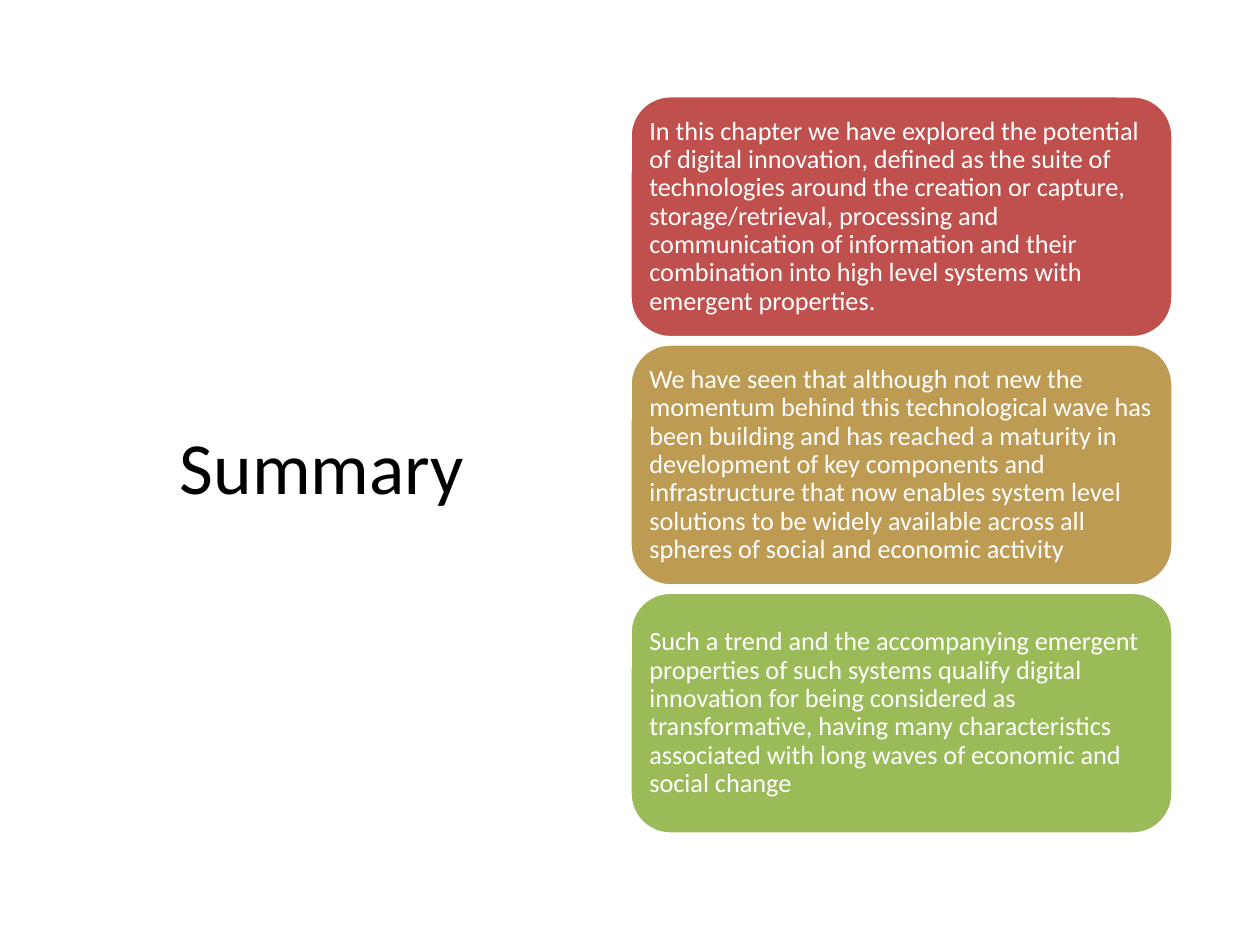
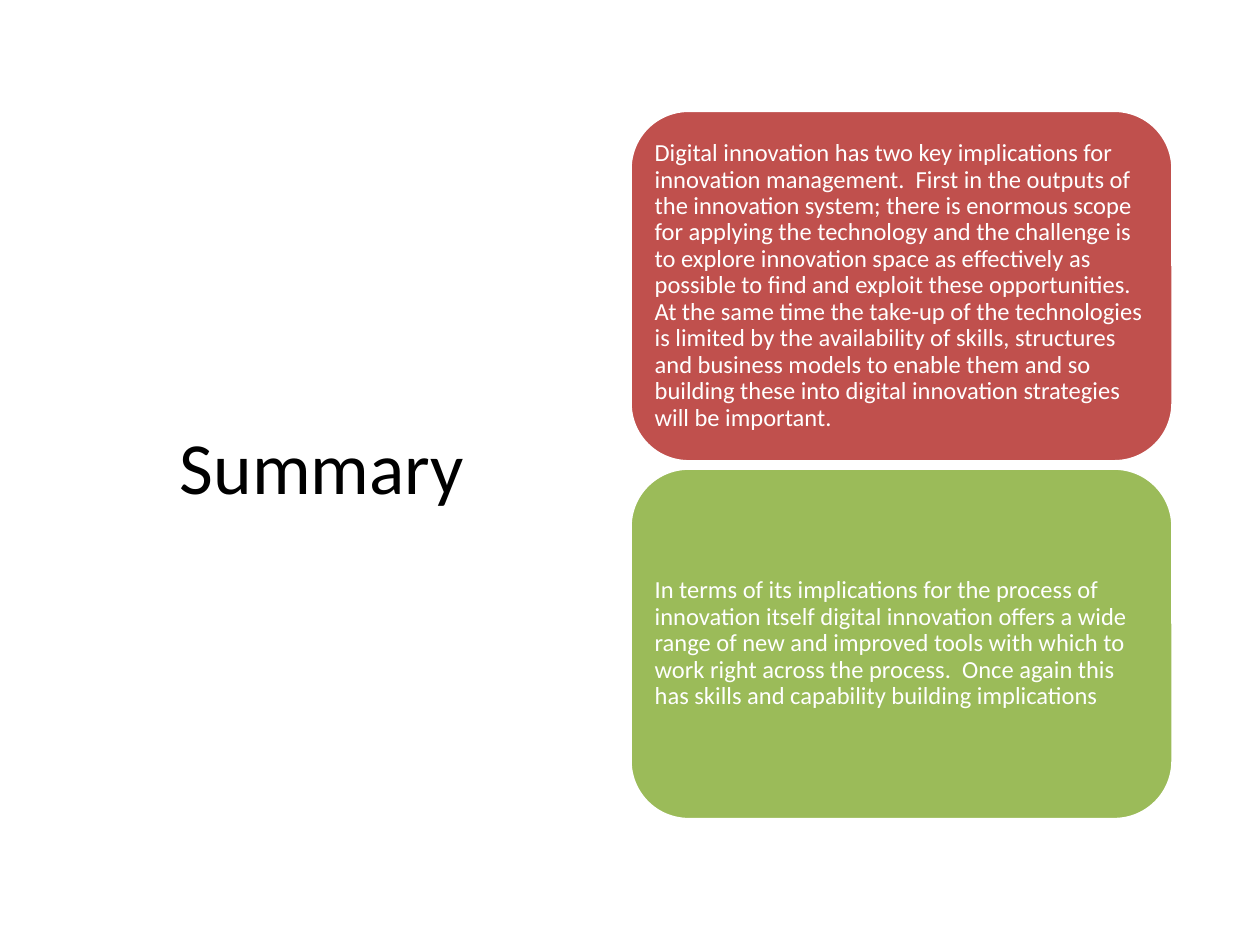
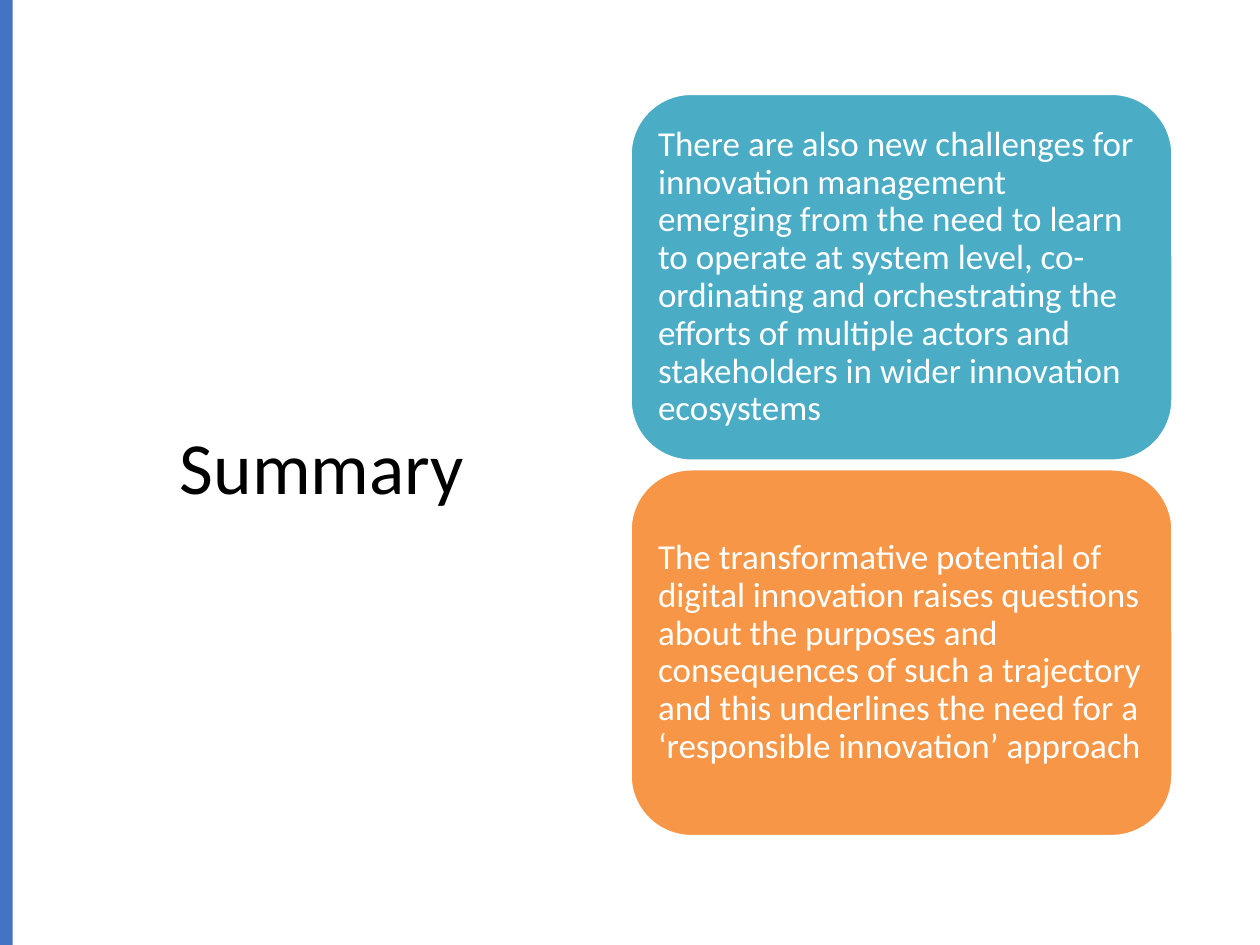
import dataclasses

import pptx
import pptx.dml.color
import pptx.enum.shapes
import pptx.enum.text
import pptx.util

COLUMNS, ROWS = 100, 75
CELL = pptx.util.Inches(0.1)
TITLE_ONLY_LAYOUT = 5
TITLE_LEFT, TITLE_WIDTH, TITLE_HEIGHT = 4.3, 42.5, 60.2
CARD_LEFT, CARD_WIDTH = 50, 43.1
CENTRE_ROW = 36.9


@dataclasses.dataclass(frozen=True)
class Theme:
    font: str = "Calibri"
    black: str = "000000"
    white: str = "FFFFFF"
    blue: str = "4472C4"
    red: str = "C0504D"
    gold: str = "BD9B53"
    green: str = "9BBB59"
    teal: str = "4BACC6"
    orange: str = "F79646"
    title_size: int = 42
    card_line: int = 2
    card_line_spacing: float = 0.9


THEME = Theme()


@dataclasses.dataclass(frozen=True)
class CardStack:
    """Equal cards, centred on the title; lengths are in grid cells."""
    cards: tuple
    card_height: float
    gap: float
    text_size: int
    padding: float
    has_band: bool = False


STACKS = (
    CardStack(
        cards=(
            (THEME.red, "In this chapter we have explored the potential of digital "
             "innovation, defined as the suite of technologies around the creation or "
             "capture, storage/retrieval, processing and communication of information "
             "and their combination into high level systems with emergent properties."),
            (THEME.gold, "We have seen that although not new the momentum behind this "
             "technological wave has been building and has reached a maturity in "
             "development of key components and infrastructure that now enables system "
             "level solutions to be widely available across all spheres of social and "
             "economic activity"),
            (THEME.green, "Such a trend and the accompanying emergent properties of such "
             "systems qualify digital innovation for being considered as "
             "transformative, having many characteristics associated with long waves "
             "of economic and social change"),
        ),
        card_height=19.2, gap=0.5, text_size=15, padding=0.6),
    CardStack(
        cards=(
            (THEME.red, "Digital innovation has two key implications for innovation "
             "management.  First in the outputs of the innovation system; there is "
             "enormous scope for applying the technology and the challenge is to "
             "explore innovation space as effectively as possible to find and exploit "
             "these opportunities.  At the same time the take-up of the technologies "
             "is limited by the availability of skills, structures and business models "
             "to enable them and so building these into digital innovation strategies "
             "will be important."),
            (THEME.green, "In terms of its implications for the process of innovation "
             "itself digital innovation offers a wide range of new and improved tools "
             "with which to work right across the process.  Once again this has skills "
             "and capability building implications"),
        ),
        card_height=27.9, gap=0.5, text_size=14, padding=0.6),
    CardStack(
        cards=(
            (THEME.teal, "There are also new challenges for innovation management "
             "emerging from the need to learn to operate at system level, "
             "co-ordinating and orchestrating the efforts of multiple actors and "
             "stakeholders in wider innovation ecosystems"),
            (THEME.orange, "The transformative potential of digital innovation raises "
             "questions about the purposes and consequences of such a trajectory and "
             "this underlines the need for a ‘responsible innovation’ approach"),
        ),
        card_height=29.2, gap=0.6, text_size=20, padding=0.8, has_band=True),
)


def cells(count):
    return round(count * CELL)


def rgb(color):
    return pptx.dml.color.RGBColor.from_string(color)


def set_attributes(target, values):
    for name, value in values.items():
        setattr(target, name, value)


def write(shape, text, size, color, alignment):
    """Put one formatted paragraph in the shape and return it."""
    shape.text_frame.text = text
    shape.text_frame.vertical_anchor = pptx.enum.text.MSO_ANCHOR.MIDDLE
    paragraph = shape.text_frame.paragraphs[0]
    paragraph.alignment = alignment
    font = paragraph.runs[0].font
    set_attributes(font, {"name": THEME.font, "size": pptx.util.Pt(size)})
    font.color.rgb = rgb(color)
    return paragraph


def add_title(slide, text):
    title = slide.shapes.title
    set_attributes(title, {
        "left": cells(TITLE_LEFT),
        "top": cells(CENTRE_ROW - TITLE_HEIGHT / 2),
        "width": cells(TITLE_WIDTH),
        "height": cells(TITLE_HEIGHT),
    })
    write(title, text, THEME.title_size, THEME.black, pptx.enum.text.PP_ALIGN.CENTER)


def add_filled_shape(slide, kind, box, color):
    """Add a shape without shadow or line; box is left, top, width, height."""
    shape = slide.shapes.add_shape(kind, *map(cells, box))
    shape.shadow.inherit = False
    shape.fill.solid()
    shape.fill.fore_color.rgb = rgb(color)
    shape.line.fill.background()
    return shape


def add_side_band(slide):
    kind = pptx.enum.shapes.MSO_SHAPE.RECTANGLE
    add_filled_shape(slide, kind, (0, 0, 1, ROWS), THEME.blue)


def add_card(slide, stack, top, color, text):
    kind = pptx.enum.shapes.MSO_SHAPE.ROUNDED_RECTANGLE
    box = (CARD_LEFT, top, CARD_WIDTH, stack.card_height)
    card = add_filled_shape(slide, kind, box, color)
    card.line.color.rgb = rgb(THEME.white)
    card.line.width = pptx.util.Pt(THEME.card_line)
    sides = ("left", "top", "right", "bottom")
    set_attributes(card.text_frame,
                   {f"margin_{side}": cells(stack.padding) for side in sides})
    card.text_frame.word_wrap = True
    paragraph = write(card, text, stack.text_size, THEME.white,
                      pptx.enum.text.PP_ALIGN.LEFT)
    paragraph.line_spacing = THEME.card_line_spacing


def add_card_stack(slide, stack):
    step = stack.card_height + stack.gap
    first_top = CENTRE_ROW - (len(stack.cards) * step - stack.gap) / 2
    for index, (color, text) in enumerate(stack.cards):
        add_card(slide, stack, first_top + index * step, color, text)


def main():
    presentation = pptx.Presentation()
    set_attributes(presentation, {
        "slide_width": cells(COLUMNS), "slide_height": cells(ROWS)})
    for stack in STACKS:
        slide = presentation.slides.add_slide(
            presentation.slide_layouts[TITLE_ONLY_LAYOUT])
        add_title(slide, "Summary")
        if stack.has_band:
            add_side_band(slide)
        add_card_stack(slide, stack)
    presentation.save("out.pptx")


if __name__ == "__main__":
    main()
